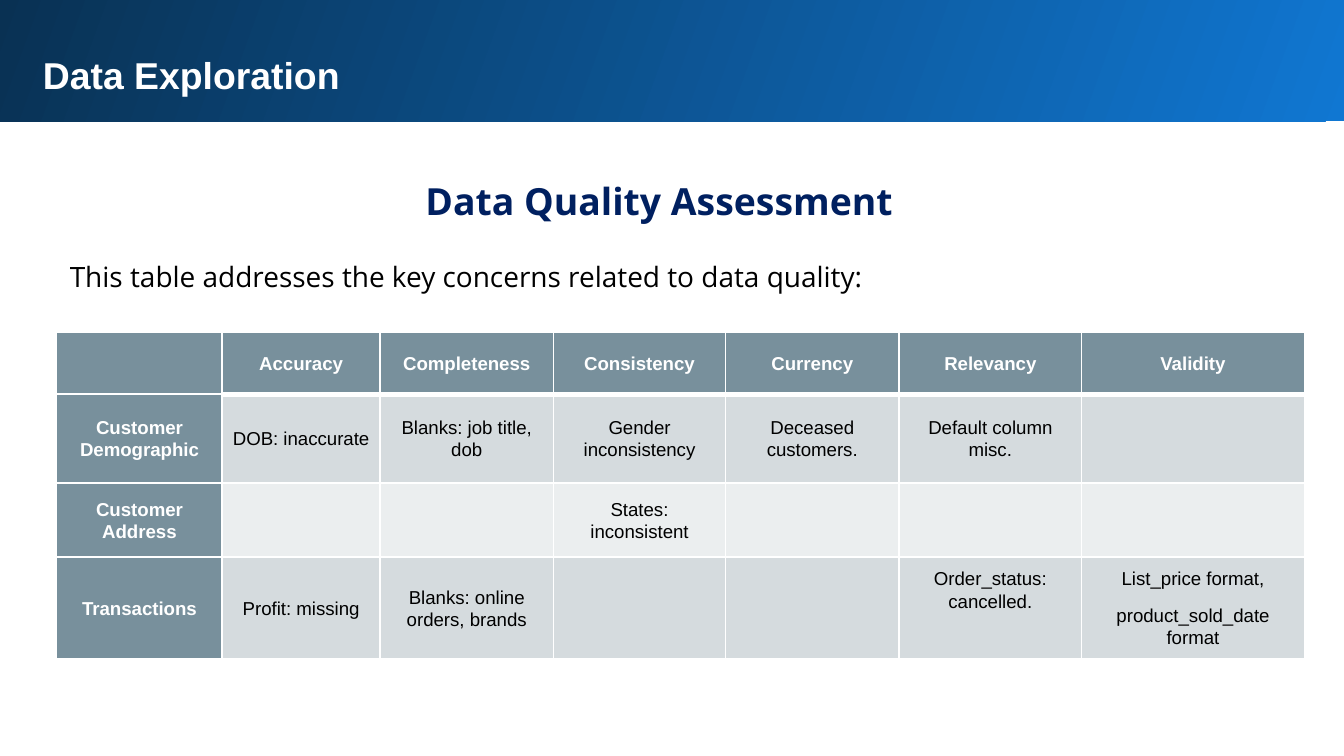
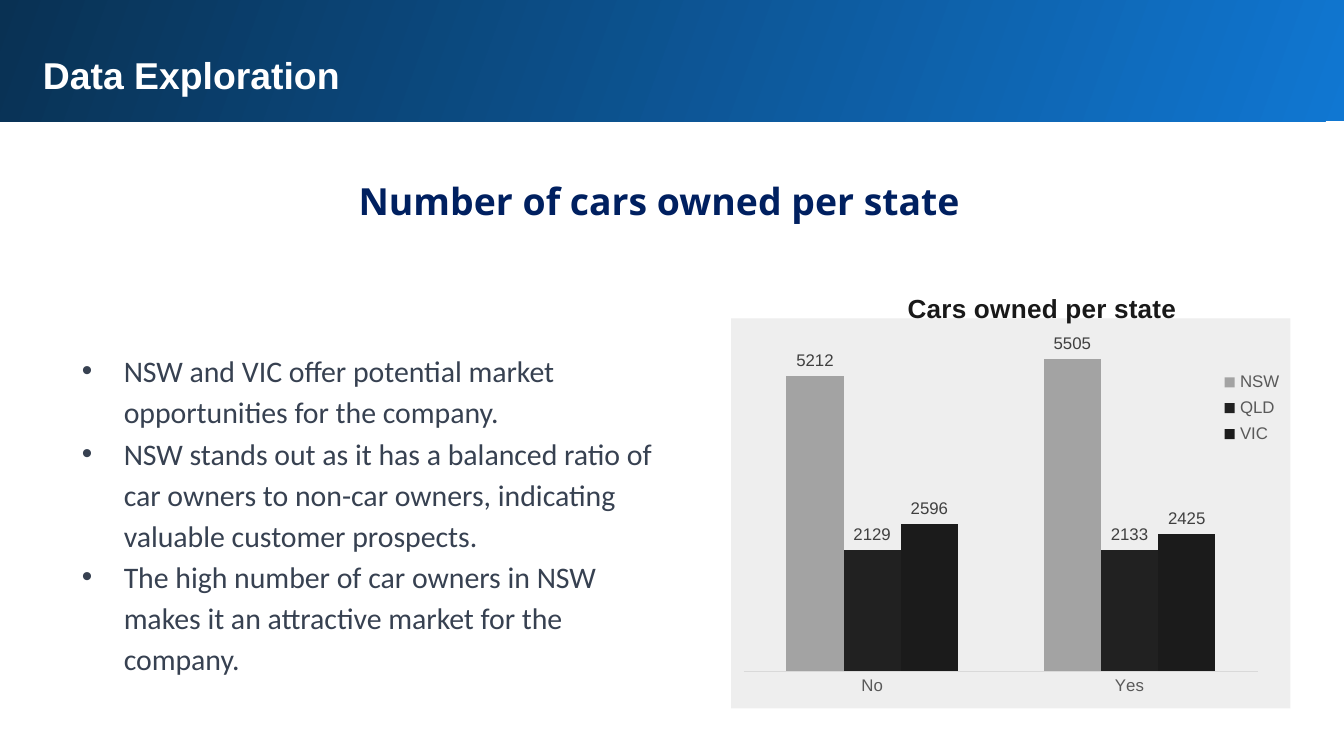
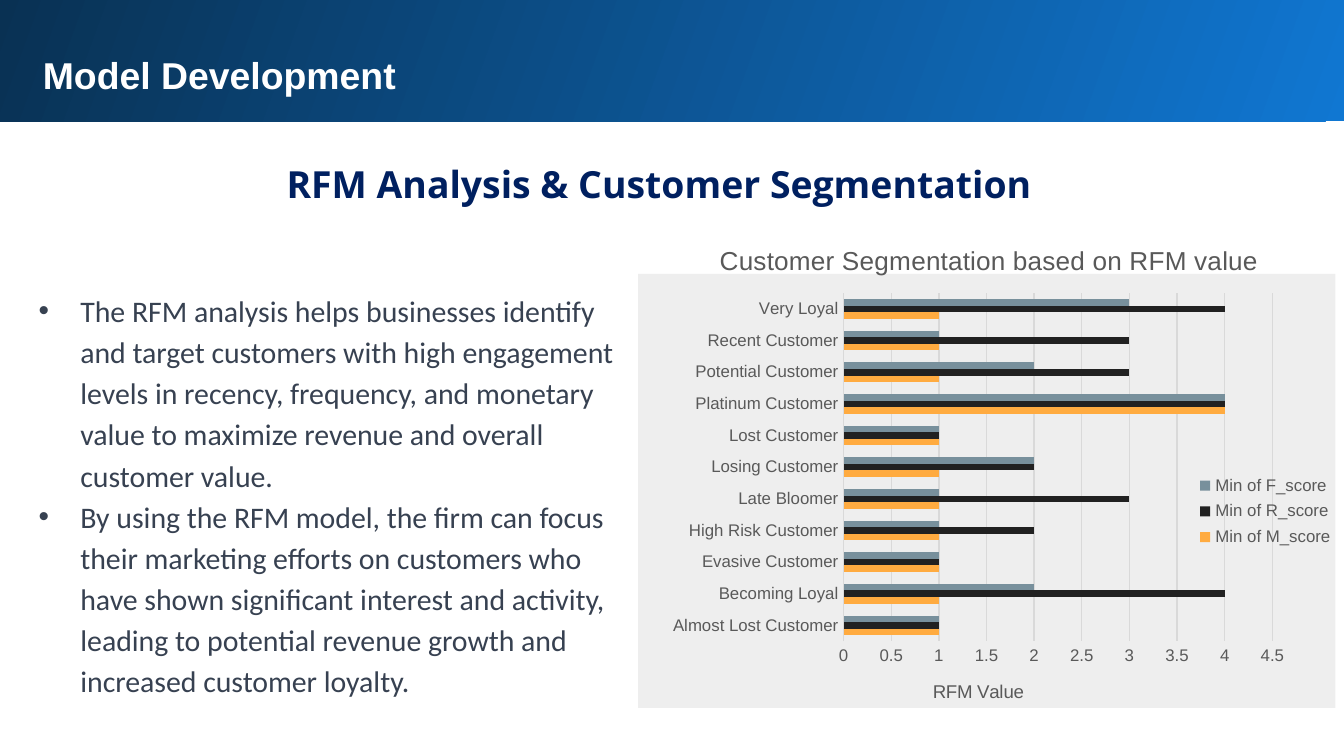
from pptx import Presentation
from pptx.chart.data import CategoryChartData
from pptx.dml.color import RGBColor
from pptx.enum.chart import (XL_CHART_TYPE, XL_LABEL_POSITION,
                             XL_LEGEND_POSITION, XL_TICK_MARK)
from pptx.enum.shapes import MSO_SHAPE
from pptx.enum.text import MSO_ANCHOR, MSO_AUTO_SIZE, PP_ALIGN
from pptx.oxml import parse_xml
from pptx.oxml.ns import nsdecls, qn
from pptx.util import Cm, Pt

HUES = {
    "white": "FFFFFF", "black": "000000", "navy": "002060",
    "light": "1077D2", "dark": "093153", "slate": "78909C",
    "odd": "D5DBDE", "even": "EBEEEF", "body": "374151",
    "panel": "EEEEEE", "grid": "D9D9D9", "grey": "595959",
    "label": "404040", "head": "191919", "silver": "A3A3A3",
    "coal": "212121", "ink": "1B1B1B", "amber": "FFAB40",
}
PAD = Cm(0.25)

GRID = [
    ["", "Accuracy", "Completeness", "Consistency", "Currency",
     "Relevancy", "Validity"],
    ["Customer Demographic", "DOB: inaccurate", "Blanks: job title, dob",
     "Gender inconsistency", "Deceased customers.",
     "Default column misc.", ""],
    ["Customer Address", "", "", "States: inconsistent", "", "", ""],
    ["Transactions", "Profit: missing", "Blanks: online orders, brands",
     "", "", "Order_status: cancelled.",
     "List_price format,\nproduct_sold_date format"],
]
WIDTHS = [3.13, 2.98, 3.28, 3.25, 3.28, 3.45, 4.21]
HEIGHTS = [1.17, 1.68, 1.4, 1.93]

CARS = [("NSW", [5212, 5505], "silver"), ("QLD", [2129, 2133], "coal"),
        ("VIC", [2596, 2425], "ink")]
GROUPS = ["Almost Lost Customer", "Becoming Loyal", "Evasive Customer",
          "High Risk Customer", "Late Bloomer", "Losing Customer",
          "Lost Customer", "Platinum Customer", "Potential Customer",
          "Recent Customer", "Very Loyal"]
SCORES = [("Min of M_score", [1, 1, 1, 1, 1, 1, 1, 4, 1, 1, 1], "amber"),
          ("Min of R_score", [1, 4, 1, 2, 3, 2, 1, 4, 3, 3, 4], "coal"),
          ("Min of F_score", [1, 2, 1, 1, 1, 2, 1, 4, 2, 1, 3], "slate")]


def hue(name):
    return RGBColor.from_string(HUES[name])


def style(font, size, name, face="Arial", bold=False):
    font.size, font.name, font.bold = Pt(size), face, bold
    font.color.rgb = hue(name)


def setup(frame):
    frame.word_wrap = True
    frame.auto_size = MSO_AUTO_SIZE.SHAPE_TO_FIT_TEXT
    frame.vertical_anchor = MSO_ANCHOR.TOP
    frame.margin_left = frame.margin_right = PAD
    frame.margin_top = frame.margin_bottom = PAD


def rect(slide, x, y, w, h):
    shape = slide.shapes.add_shape(MSO_SHAPE.RECTANGLE,
                                   Cm(x), Cm(y), Cm(w), Cm(h))
    shape.shadow.inherit = False
    shape.line.fill.background()
    return shape


def panel(slide, *box):
    fill = rect(slide, *box).fill
    fill.solid()
    fill.fore_color.rgb = hue("panel")


def text(slide, box, words, size, name, face, bold=False, align=PP_ALIGN.LEFT):
    shape = slide.shapes.add_textbox(*map(Cm, box))
    frame = shape.text_frame
    setup(frame)
    frame.text = words
    for para in frame.paragraphs:
        para.alignment = align
        para.line_spacing = 1.15
        for run in para.runs:
            style(run.font, size, name, face, bold)
    return frame


def bullets(slide, box, lines):
    frame = text(slide, box, "\n".join(lines), 16, "body", "Calibri")
    for para in frame.paragraphs:
        props = para._p.get_or_add_pPr()
        props.set("marL", str(Cm(0.79)))
        props.set("indent", str(-Cm(0.79)))
        props.append(parse_xml(
            f'<a:buFont {nsdecls("a")} typeface="Arial"/>'))
        props.append(parse_xml(f'<a:buChar {nsdecls("a")} char="•"/>'))


def page(deck, title, topic, top):
    """Slide with gradient band, title and centred topic."""
    slide = deck.slides.add_slide(deck.slide_layouts[5])
    band = rect(slide, -0.05, -0.05, 25.53, 2.34)
    band.fill.gradient()
    band.fill.gradient_angle = 160
    for stop, name in zip(band.fill.gradient_stops, ("light", "dark")):
        stop.color.rgb = hue(name)
    head = slide.shapes.title
    head.element.addprevious(band.element)  # band goes behind the title
    head.left, head.top, head.width, head.height = map(
        Cm, (0.56, 0.74, 23.8, 1.3))
    head.text_frame.text = title
    setup(head.text_frame)
    para = head.text_frame.paragraphs[0]
    para.alignment = PP_ALIGN.LEFT
    style(para.runs[0].font, 20, "white", bold=True)
    text(slide, (0.56, top, 23.8, 1.42), topic, 20, "navy", "Open Sans",
         True, PP_ALIGN.CENTER)
    return slide


def borders(cell, top, bottom):
    props = cell._tc.get_or_add_tcPr()
    sides = (("L", 1), ("R", 1), ("T", top), ("B", bottom))
    for spot, (side, width) in enumerate(sides):
        props.insert(spot, parse_xml(
            f'<a:ln{side} {nsdecls("a")} w="{Pt(width)}"><a:solidFill>'
            f'<a:srgbClr val="{HUES["white"]}"/></a:solidFill></a:ln{side}>'))


def table(slide, x, y):
    grid = slide.shapes.add_table(
        len(GRID), len(WIDTHS), Cm(x), Cm(y),
        Cm(sum(WIDTHS)), Cm(sum(HEIGHTS))).table
    for col, width in zip(grid.columns, WIDTHS):
        col.width = Cm(width)
    for row, height in zip(grid.rows, HEIGHTS):
        row.height = Cm(height)
    for r, row in enumerate(GRID):
        for c, words in enumerate(row):
            cell = grid.cell(r, c)
            head = r == 0 or c == 0
            cell.fill.solid()
            cell.fill.fore_color.rgb = hue(
                "slate" if head else "odd" if r % 2 else "even")
            thick = 3 if c else 1
            borders(cell, thick if r == 1 else 1, thick if r == 0 else 1)
            cell.margin_left = cell.margin_right = Cm(0.17)
            cell.margin_top = cell.margin_bottom = 0
            cell.vertical_anchor = MSO_ANCHOR.MIDDLE
            cell.text = words
            for para in cell.text_frame.paragraphs:
                para.alignment = PP_ALIGN.CENTER
                para.line_spacing = 1.07
                para.space_after = Pt(8)
                style(para.font, 10, "black")
                for run in para.runs:
                    style(run.font, 10, "white" if head else "black",
                          bold=head)
    # The order status sits at the top of its cell
    cell = grid.cell(3, 5)
    cell.vertical_anchor = MSO_ANCHOR.TOP
    cell.margin_top = Cm(0.2)


def place(chart, route, after, x, y, w=None, h=None):
    """Fix a chart part at fractions of the chart area."""
    part = chart.element.find("/".join(
        step if step == "." else qn(step) for step in route.split("/")))
    for old in part.findall(qn("c:layout")):
        part.remove(old)
    inner = '<c:layoutTarget val="inner"/>' if after is None else ""
    modes = '<c:xMode val="edge"/><c:yMode val="edge"/>'
    spots = "".join(f'<c:{key} val="{val}"/>' for key, val in
                    zip("xywh", (x, y, w, h)) if val is not None)
    node = parse_xml(f'<c:layout {nsdecls("c")}><c:manualLayout>{inner}'
                     f'{modes}{spots}</c:manualLayout></c:layout>')
    if after is None:
        part.insert(0, node)
    else:
        part.find(qn(after)).addnext(node)


def label(title, words, size, name, bold=False):
    title.text_frame.text = words
    style(title.text_frame.paragraphs[0].runs[0].font, size, name, bold=bold)


def graph(slide, kind, box, cats, rows, gap, title, name, bold):
    data = CategoryChartData()
    data.categories = cats
    for key, vals, _ in rows:
        data.add_series(key, vals)
    chart = slide.shapes.add_chart(kind, *map(Cm, box), data).chart
    style(chart.font, 10, "black")
    chart.has_title = True
    label(chart.chart_title, title, 14, name, bold)
    chart.has_legend = True
    chart.legend.position = XL_LEGEND_POSITION.RIGHT
    chart.legend.include_in_layout = False
    style(chart.legend.font, 9, "grey")
    plot = chart.plots[0]
    plot.gap_width, plot.overlap = gap, 0
    plot.vary_by_categories = False
    for line, (_, _, tone) in zip(plot.series, rows):
        line.format.fill.solid()
        line.format.fill.fore_color.rgb = hue(tone)
        line.invert_if_negative = False
    axis = chart.category_axis
    axis.major_tick_mark = XL_TICK_MARK.NONE
    axis.format.line.color.rgb = hue("grid")
    axis.format.line.width = Pt(0.75)
    style(axis.tick_labels.font, 9, "grey")
    chart.value_axis.minimum_scale = 0
    return chart


def cars(slide):
    chart = graph(slide, XL_CHART_TYPE.COLUMN_CLUSTERED,
                  (13.82, 5, 11.58, 8.36), ["No", "Yes"], CARS, 150,
                  "Cars owned per state", "head", True)
    axis = chart.value_axis
    axis.maximum_scale = 6000
    axis.has_major_gridlines = False
    axis.visible = False
    for line in chart.plots[0].series:
        tags = line.data_labels
        tags.show_value = True
        tags.position = XL_LABEL_POSITION.OUTSIDE_END
        style(tags.font, 9, "label")
    place(chart, "./c:chart/c:title", "c:tx", 0.28, 0.05)
    place(chart, "./c:chart/c:plotArea", None, 0.02, 0.15, 0.84, 0.77)
    place(chart, "./c:chart/c:legend", "c:legendPos", 0.79, 0.23, 0.12, 0.19)


def scores(slide):
    chart = graph(slide, XL_CHART_TYPE.BAR_CLUSTERED,
                  (11.89, 4.06, 13.51, 9.32), GROUPS, SCORES, 182,
                  "Customer Segmentation based on RFM value", "grey", False)
    axis = chart.value_axis
    axis.maximum_scale, axis.major_unit = 4.5, 0.5
    axis.major_tick_mark = XL_TICK_MARK.NONE
    axis.format.line.fill.background()
    axis.has_major_gridlines = True
    rule = axis.major_gridlines.format.line
    rule.color.rgb = hue("grid")
    rule.width = Pt(0.75)
    style(axis.tick_labels.font, 9, "grey")
    axis.has_title = True
    label(axis.axis_title, "RFM Value", 10, "grey")
    place(chart, "./c:chart/c:title", "c:tx", 0.12, 0.05)
    place(chart, "./c:chart/c:plotArea/c:valAx/c:title", "c:tx", 0.42, 0.94)
    place(chart, "./c:chart/c:plotArea", None, 0.3, 0.16, 0.6, 0.71)
    place(chart, "./c:chart/c:legend", "c:legendPos", 0.79, 0.52, 0.2, 0.17)


def main():
    deck = Presentation()
    deck.slide_width, deck.slide_height = Cm(25.4), Cm(14.29)

    # Data quality table
    slide = page(deck, "Data Exploration", "Data Quality Assessment", 3)
    text(slide, (1.07, 4.57, 23.55, 1.19),
         "This table addresses the key concerns related to data quality:",
         15, "black", "Open Sans")
    table(slide, 1.07, 6.28)

    # Cars per state
    slide = page(deck, "Data Exploration", "Number of cars owned per state", 3)
    bullets(slide, (1.3, 6.32, 11.48, 6.76), [
        "NSW and VIC offer potential market opportunities for the company.",
        "NSW stands out as it has a balanced ratio of car owners to non-car "
        "owners, indicating valuable customer prospects.",
        "The high number of car owners in NSW makes it an attractive market "
        "for the company."])
    panel(slide, 13.82, 6.02, 10.57, 7.37)
    cars(slide)

    # Customer segments
    slide = page(deck, "Model Development",
                 "RFM Analysis & Customer Segmentation", 2.67)
    bullets(slide, (0.48, 5.18, 11.48, 8.33), [
        "The RFM analysis helps businesses identify and target customers with "
        "high engagement levels in recency, frequency, and monetary value to "
        "maximize revenue and overall customer value.",
        "By using the RFM model, the firm can focus their marketing efforts "
        "on customers who have shown significant interest and activity, "
        "leading to potential revenue growth and increased customer loyalty."])
    panel(slide, 12.06, 5.18, 13.18, 8.2)
    scores(slide)

    deck.save("out.pptx")


main()
